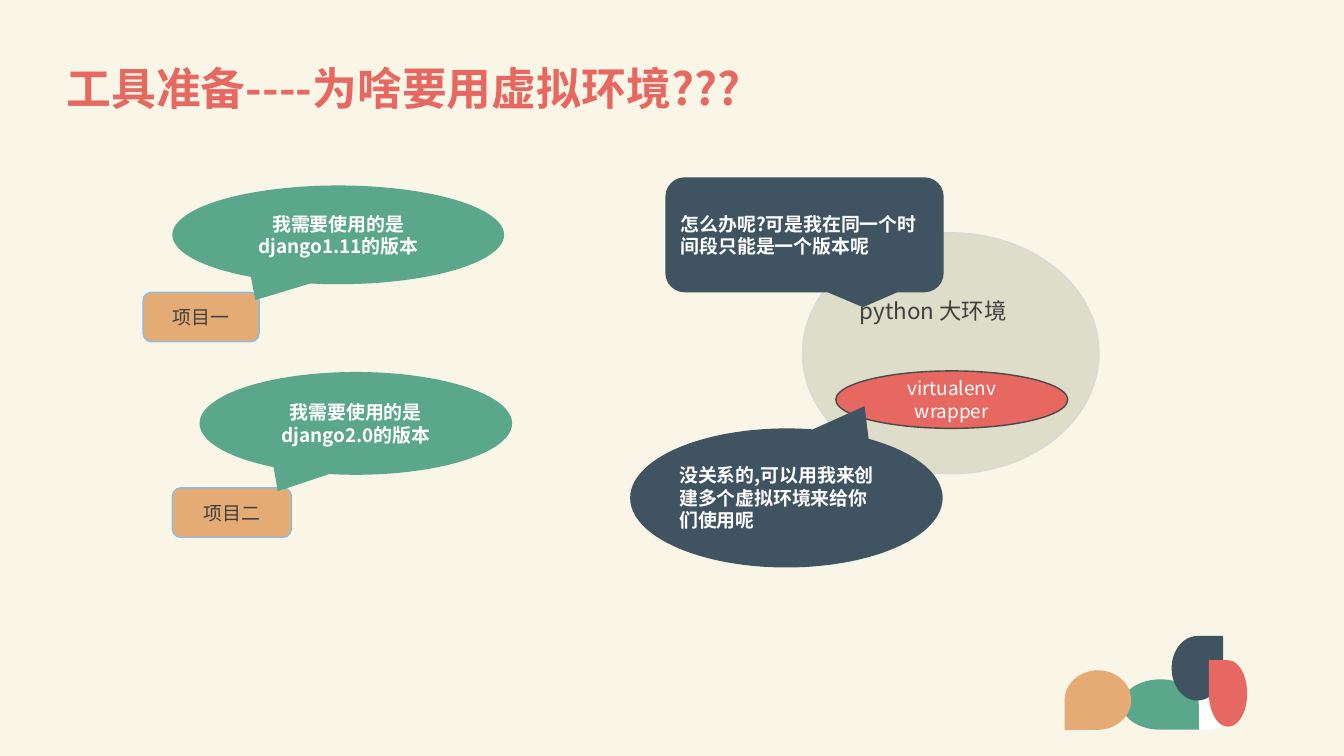
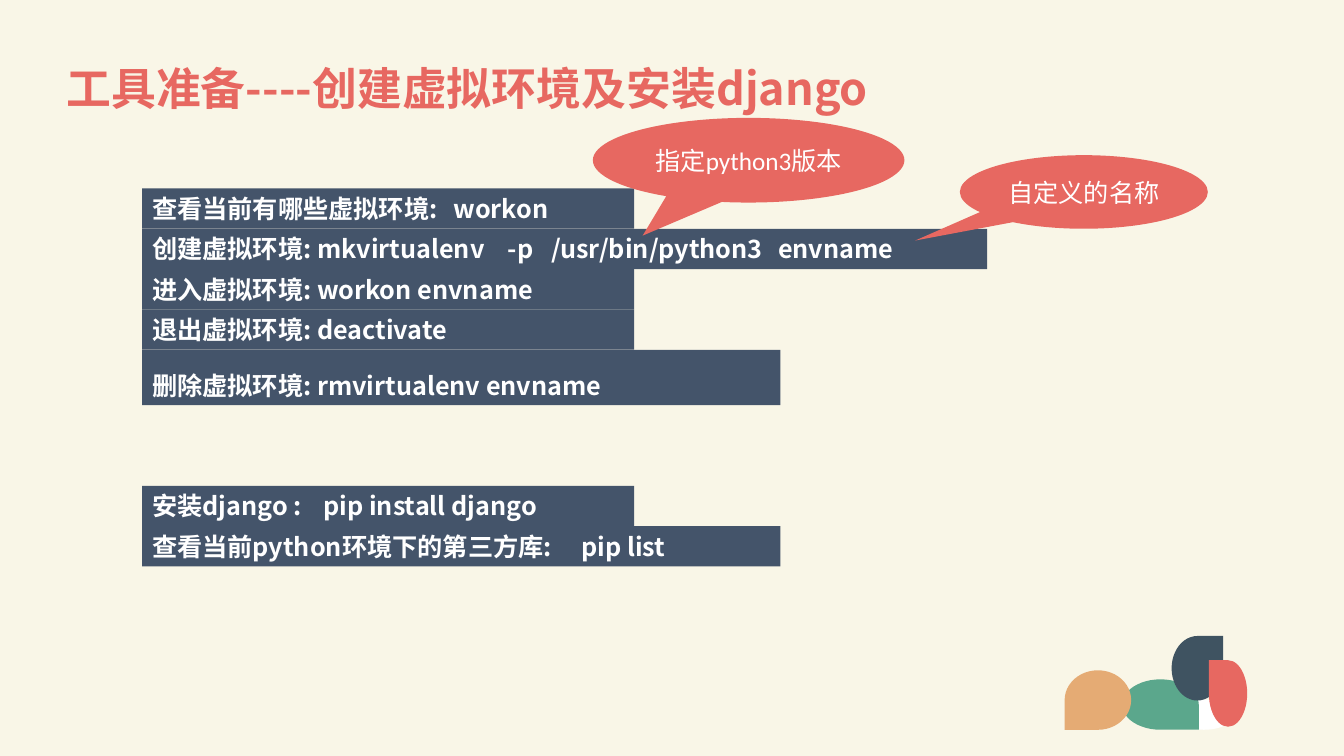
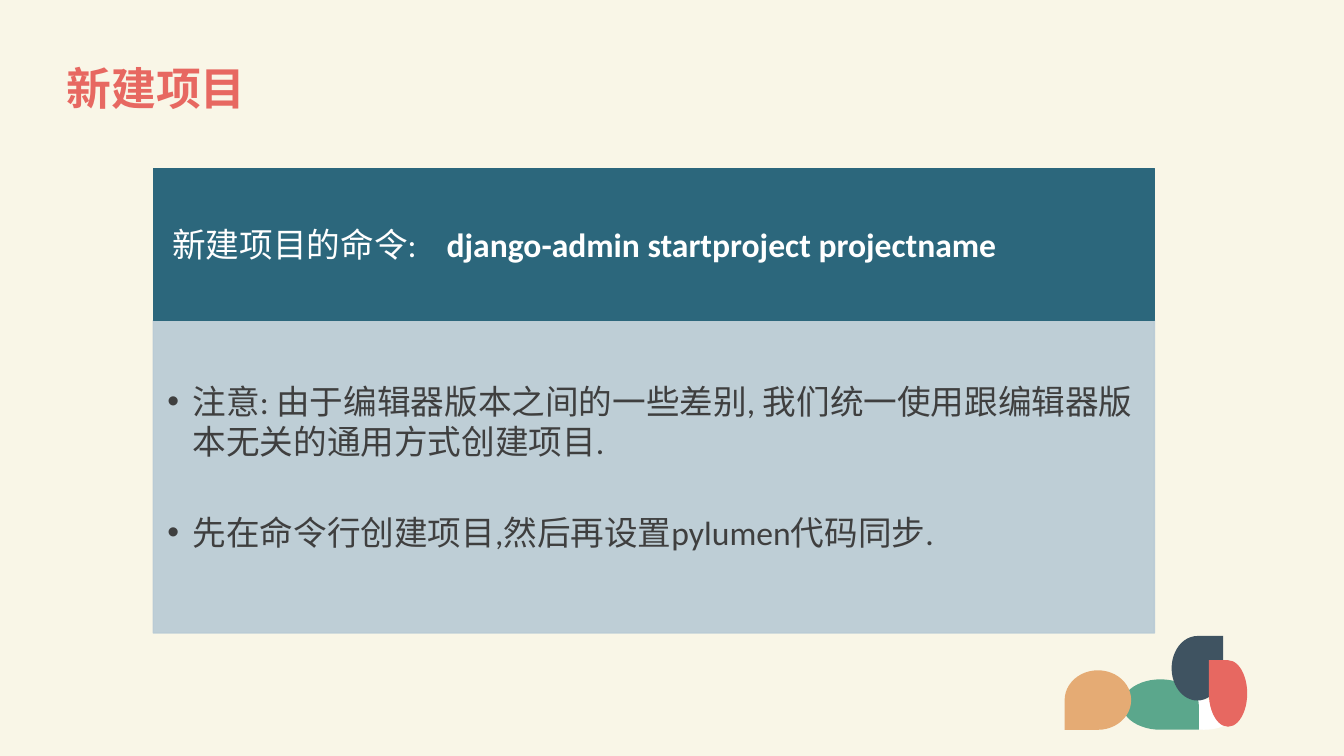
from lxml.etree import SubElement
from pptx import Presentation
from pptx.dml.color import RGBColor
from pptx.enum.shapes import MSO_SHAPE as Shape
from pptx.enum.text import MSO_ANCHOR as Anchor, MSO_AUTO_SIZE as AutoSize, PP_ALIGN as Align
from pptx.oxml.ns import qn
from pptx.util import Inches, Pt

# Shared colours and fonts
CREAM = RGBColor(0xF9, 0xF6, 0xE7)
CORAL = RGBColor(0xE7, 0x68, 0x61)
GREEN = RGBColor(0x5B, 0xA7, 0x8C)
SAND = RGBColor(0xE5, 0xAB, 0x74)
SLATE = RGBColor(0x3F, 0x53, 0x61)
STONE = RGBColor(0xDE, 0xDD, 0xC9)
NAVY = RGBColor(0x44, 0x54, 0x6A)
TEAL = RGBColor(0x2C, 0x67, 0x7C)
MIST = RGBColor(0xB8, 0xCA, 0xD5)
SKY = RGBColor(0x8B, 0xBD, 0xE2)
SILVER = RGBColor(0xD9, 0xD9, 0xD9)
CHARCOAL = RGBColor(0x49, 0x49, 0x49)
INK = RGBColor(0x3F, 0x3F, 0x3F)
WHITE = RGBColor(0xFF, 0xFF, 0xFF)
SANS = "Noto Sans CJK SC"
CALIBRI = "Calibri"


def format_text(frame, size, color, font=SANS, bold=False, align=Align.LEFT,
                anchor=Anchor.MIDDLE, spacing=None):
    frame.word_wrap = True
    frame.auto_size = AutoSize.NONE
    frame.vertical_anchor = anchor
    for paragraph in frame.paragraphs:
        paragraph.alignment = align
        if spacing:
            paragraph.line_spacing = spacing
        for run in paragraph.runs:
            run.font.size = Pt(size)
            run.font.bold = bold
            run.font.name = font
            run.font.color.rgb = color
            SubElement(run.font._element, qn("a:ea"), typeface=font)


def set_margins(frame, left, top, right, bottom):
    frame.margin_left, frame.margin_top = Inches(left), Inches(top)
    frame.margin_right, frame.margin_bottom = Inches(right), Inches(bottom)


def set_tab_stops(paragraph, stops):
    tab_list = SubElement(paragraph._p.get_or_add_pPr(), qn("a:tabLst"))
    for stop in stops:
        SubElement(tab_list, qn("a:tab"), pos=str(Inches(stop)), algn="l")


def set_alpha(fill_parent, percent):
    for color in fill_parent.iter(qn("a:srgbClr")):
        SubElement(color, qn("a:alpha"), val=str(percent * 1000))


def add_figure(slide, kind, box, fill, line=None, adjust=()):
    figure = slide.shapes.add_shape(kind, *map(Inches, box))
    figure.shadow.inherit = False
    figure.fill.solid()
    figure.fill.fore_color.rgb = fill
    if line:
        figure.line.color.rgb = line
        figure.line.width = Pt(1)
    else:
        figure.line.fill.background()
    for index, value in enumerate(adjust):
        figure.adjustments[index] = value
    return figure


def add_label(slide, box, text, size, color, bold=False):
    label = slide.shapes.add_textbox(*map(Inches, box))
    label.text_frame.text = text
    format_text(label.text_frame, size, color, bold=bold, anchor=Anchor.TOP)


def add_callout(slide, box, text, fill, tip, size=13.5, font=SANS, bold=True):
    callout = add_figure(slide, Shape.OVAL_CALLOUT, box, fill, adjust=tip)
    callout.text_frame.text = text
    format_text(callout.text_frame, size, WHITE, font, bold, Align.CENTER)


def add_petals(slide):
    """Corner ornament: ovals with one square corner each."""
    add_figure(slide, Shape.OVAL, (11.64, 6.94, 0.6, 0.3), WHITE)
    petals = [
        ((11.13, 6.74, 0.76, 0.5), GREEN, ("flipV",)),
        ((11.62, 6.31, 0.51, 0.64), SLATE, ()),
        ((11.99, 6.55, 0.38, 0.66), CORAL, ("flipH",)),
        ((10.56, 6.65, 0.66, 0.59), SAND, ("flipH", "flipV")),
    ]
    for box, color, flips in petals:
        petal = add_figure(slide, Shape.TEAR, box, color)
        for flip in flips:
            petal._element.spPr.xfrm.set(flip, "1")


def set_up_master(prs):
    master = prs.slide_master
    master.background.fill.solid()
    master.background.fill.fore_color.rgb = CREAM
    title = master.placeholders[0]
    title.left, title.top = Inches(0.56), Inches(0.37)
    title.width, title.height = Inches(12.29), Inches(1.06)


def add_slide(prs, layout, title, font=SANS):
    slide = prs.slides.add_slide(prs.slide_layouts.get_by_name(layout))
    slide.shapes.title.text_frame.text = title
    format_text(slide.shapes.title.text_frame, 32, CORAL, font, True, spacing=0.9)
    add_petals(slide)
    return slide


def build_reasons(prs):
    slide = add_slide(prs, "Title Only", "工具准备----为啥要用虚拟环境???")

    # Two projects and the versions they need
    projects = [
        ("项目一", (1.42, 2.9, 1.15, 0.49), "1.11", (1.71, 1.84, 3.29, 0.98)),
        ("项目二", (1.71, 4.84, 1.18, 0.49), "2.0", (1.98, 3.69, 3.1, 1.02)),
    ]
    for name, box, version, callout_box in projects:
        project = add_figure(slide, Shape.ROUNDED_RECTANGLE, box, SAND, SKY)
        project.text_frame.text = name
        format_text(project.text_frame, 13.5, INK, CALIBRI, align=Align.CENTER)
        add_callout(slide, callout_box, f"我需要使用的是django{version}的版本",
                    GREEN, (-0.25, 0.66))

    # The shared environment and its question
    add_figure(slide, Shape.OVAL, (7.96, 2.31, 2.94, 2.39), STONE, SILVER)
    add_label(slide, (8.43, 2.9, 1.77, 0.37), "python 大环境", 16, INK)
    question = add_figure(slide, Shape.ROUNDED_RECTANGULAR_CALLOUT,
                          (6.6, 1.76, 2.76, 1.14), SLATE, adjust=(0.21, 0.63))
    question.text_frame.text = "怎么办呢?可是我在同一个时间段只能是一个版本呢"
    format_text(question.text_frame, 13.5, WHITE, bold=True)

    # The wrapper and its answer
    wrapper = add_figure(slide, Shape.OVAL, (8.29, 3.68, 2.3, 0.57), CORAL, CHARCOAL)
    wrapper.text_frame.text = "virtualenv\nwrapper"
    format_text(wrapper.text_frame, 13.5, WHITE, align=Align.CENTER)
    add_figure(slide, Shape.OVAL_CALLOUT, (6.25, 4.25, 3.1, 1.38), SLATE,
               adjust=(0.25, -0.66))
    add_label(slide, (6.64, 4.55, 2.16, 0.78),
              "没关系的,可以用我来创建多个虚拟环境来给你们使用呢", 13.5, WHITE, True)


def add_commands(slide, top, commands):
    """Stack command bars downwards from top."""
    for text, width, height, spacing, stops in commands:
        bar = add_figure(slide, Shape.RECTANGLE, (1.41, top, width, height), NAVY)
        bar.text_frame.text = text
        format_text(bar.text_frame, 18, WHITE, bold=True, anchor=Anchor.TOP,
                    spacing=spacing)
        if stops:
            set_tab_stops(bar.text_frame.paragraphs[0], stops)
        top += height


def build_commands(prs):
    slide = add_slide(prs, "Title Only", "工具准备----创建虚拟环境及安装django")
    short, medium, long = 4.88, 6.33, 8.38
    row = 0.4

    # Environment commands, then installation commands
    add_commands(slide, 1.87, [
        ("查看当前有哪些虚拟环境:\tworkon", short, row, None, [2.99]),
        ("创建虚拟环境: mkvirtualenv\t-p\t/usr/bin/python3\tenvname", long, row, None,
         [3.53, 3.96, 6.21]),
        ("进入虚拟环境: workon envname", short, row, None, []),
        ("退出虚拟环境: deactivate", short, row, None, []),
        ("删除虚拟环境: rmvirtualenv envname", medium, 0.55, 1.5, []),
    ])
    add_commands(slide, 4.82, [
        ("安装django :\tpip install django", short, row, None, [1.7]),
        ("查看当前python环境下的第三方库:\tpip list", medium, row, None, [4.26]),
    ])

    # Remarks on the arguments
    for box, text, tip in [
        ((5.88, 1.17, 3.09, 0.84), "指定python3版本", (-0.34, 0.89)),
        ((9.52, 1.54, 2.46, 0.73), "自定义的名称", (-0.68, 0.66)),
    ]:
        add_callout(slide, box, text, CORAL, tip, 18, CALIBRI, False)


def build_new_project(prs):
    slide = add_slide(prs, "Title and Content", "新建项目", CALIBRI)

    # Command heading
    heading = add_figure(slide, Shape.RECTANGLE, (1.52, 1.67, 9.93, 1.51), TEAL, TEAL)
    command_line = heading.text_frame.paragraphs[0]
    for part in ("新建项目的命令:\t", "django-admin startproject projectname"):
        command_line.add_run().text = part
    format_text(heading.text_frame, 24, WHITE, CALIBRI)
    command_line.runs[1].font.bold = True
    set_margins(heading.text_frame, 0.19, 0.11, 0.19, 0.11)
    set_tab_stops(command_line, [2.72])

    # Notes list
    notes = slide.placeholders[1]
    notes.left, notes.top = Inches(1.52), Inches(3.18)
    notes.width, notes.height = Inches(9.93), Inches(3.1)
    notes.fill.solid()
    notes.fill.fore_color.rgb = MIST
    notes.line.color.rgb = MIST
    notes.line.width = Pt(1)
    set_alpha(notes._element.spPr, 90)
    notes.text_frame.text = (
        "注意: 由于编辑器版本之间的一些差别, 我们统一使用跟编辑器版本无关的通用方式创建项目.\n"
        "先在命令行创建项目,然后再设置pylumen代码同步.")
    format_text(notes.text_frame, 24, INK, CALIBRI, anchor=Anchor.TOP, spacing=1.0)
    set_margins(notes.text_frame, 0.14, 0.6, 0.19, 0.21)
    for paragraph in notes.text_frame.paragraphs:
        paragraph.space_before = Pt(0)
        paragraph.space_after = Pt(36)
        properties = paragraph._p.get_or_add_pPr()
        properties.set("marL", str(Inches(0.25)))
        properties.set("indent", str(-Inches(0.25)))
        SubElement(properties, qn("a:buFont"), typeface="Arial")
        SubElement(properties, qn("a:buChar"), char="•")


def main():
    prs = Presentation()
    prs.slide_width, prs.slide_height = Inches(13.33), Inches(7.5)
    set_up_master(prs)
    build_reasons(prs)
    build_commands(prs)
    build_new_project(prs)
    prs.save("out.pptx")


if __name__ == "__main__":
    main()
